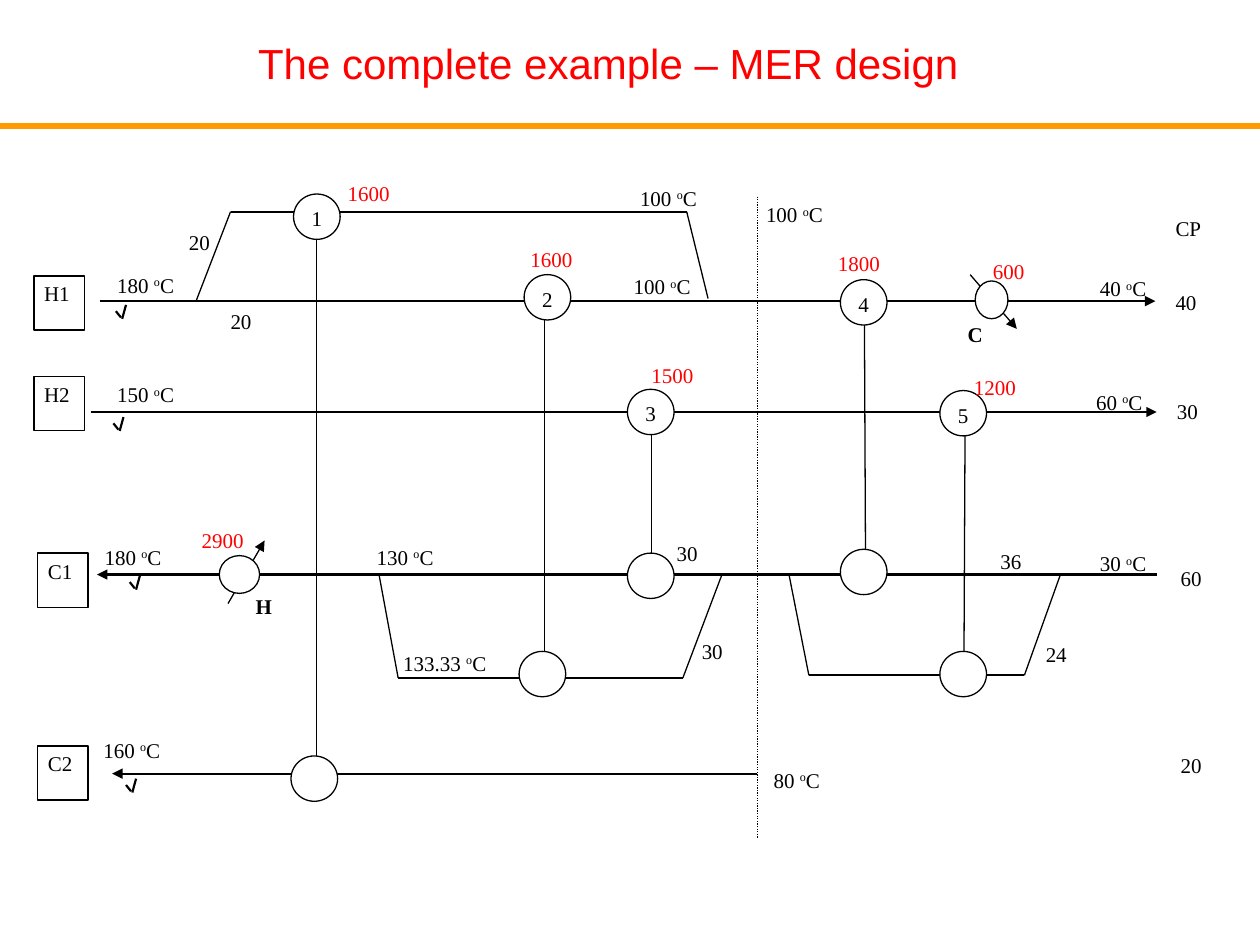
from dataclasses import dataclass
from lxml import etree
from pptx import Presentation
from pptx.dml.color import RGBColor as RGB
from pptx.enum.dml import MSO_LINE
from pptx.enum.shapes import MSO_CONNECTOR as CONN, MSO_SHAPE as SHAPE
from pptx.enum.text import MSO_ANCHOR, MSO_AUTO_SIZE, PP_ALIGN
from pptx.oxml.ns import qn
from pptx.util import Inches, Pt


@dataclass(frozen=True)
class Theme:
    ink = RGB(0x00, 0x00, 0x00)
    paper = RGB(0xFF, 0xFF, 0xFF)
    accent = RGB(0xFF, 0x00, 0x00)
    rule = RGB(0xFF, 0x99, 0x00)
    title_font, title_size = "Arial", Pt(24)
    body_font, body_size = "Times New Roman", Pt(12)
    thin, medium, stream, bar = Pt(0.75), Pt(1), Pt(1.25), Pt(3)


T = Theme()
UNIT = 0.37, 0.36  # size of a heat exchanger


@dataclass
class Region:
    """A part of the slide; all positions count from its corner."""
    shapes: object
    left: float
    top: float

    def line(self, x1, y1, x2, y2, width=T.thin, color=T.ink, arrow=False):
        s = self.shapes.add_connector(
            CONN.STRAIGHT, Inches(self.left + x1), Inches(self.top + y1),
            Inches(self.left + x2), Inches(self.top + y2))
        s.line.color.rgb, s.line.width = color, width
        if arrow:
            ln = s.line._get_or_add_ln()
            etree.SubElement(ln, qn("a:tailEnd"), type="triangle")
        etree.SubElement(s._element.spPr, qn("a:effectLst"))
        return s

    def box(self, x, y, w, h):
        return (Inches(self.left + x), Inches(self.top + y),
                Inches(w), Inches(h))

    def text(self, x, y, w, h, text, inset=True, **style):
        s = self.shapes.add_textbox(*self.box(x, y, w, h))
        write(s.text_frame, text, inset, **style)

    def shape(self, kind, x, y, w, h, text="", align=PP_ALIGN.LEFT):
        s = self.shapes.add_shape(kind, *self.box(x, y, w, h))
        s.shadow.inherit = False
        s.fill.solid()
        s.fill.fore_color.rgb = T.paper
        s.line.color.rgb, s.line.width = T.ink, T.thin
        if text:
            write(s.text_frame, text, align=align)


def write(tf, text, inset=True, color=T.ink, bold=False, align=PP_ALIGN.LEFT):
    """Fill a frame; '^o' in the text marks a raised letter."""
    tf.word_wrap = True
    tf.vertical_anchor = MSO_ANCHOR.TOP
    tf.margin_left = tf.margin_right = Inches(0.08 if inset else 0)
    tf.margin_top = tf.margin_bottom = Inches(0.01 if inset else 0)
    p = tf.paragraphs[0]
    p.alignment, p.line_spacing, p.space_after = align, 1.15, Pt(10)
    before, raised, after = text.partition("^o")
    for part in filter(None, (before, raised[1:], after)):
        r = p.add_run()
        r.text = part
        r.font.name, r.font.size = T.body_font, T.body_size
        r.font.bold, r.font.color.rgb = bold, color
        if part == "o":
            r.font._element.set("baseline", "30000")


def add_header(region, title):
    region.line(0, 1, 10, 1, T.bar, T.rule)
    s = region.shapes.add_textbox(*region.box(1.95, 0.25, 5.82, 0.5))
    tf = s.text_frame
    tf.word_wrap, tf.auto_size = False, MSO_AUTO_SIZE.SHAPE_TO_FIT_TEXT
    tf.text = title
    font = tf.paragraphs[0].runs[0].font
    font.name, font.size, font.color.rgb = T.title_font, T.title_size, T.accent


def add_streams(region):
    # name, name box, line from x to x at y, tick, heat capacity and its place
    streams = [
        ("H1", 0.27, 1.19, 0.79, 9.17, 1.39, 0.92, 1.47, "40", 9.33, 1.27),
        ("H2", 0.27, 1.99, 0.72, 9.18, 2.27, 0.90, 2.36, "30", 9.34, 2.13),
        ("C1", 0.30, 3.39, 9.18, 0.77, 3.56, 1.03, 3.62, "60", 9.37, 3.46),
        ("C2", 0.30, 4.92, 6.01, 0.89, 5.14, 1.00, 5.23, "20", 9.37, 4.94),
    ]
    region.text(9.33, 0.68, 0.3, 0.35, "CP", inset=False)
    for name, bx, by, x1, x2, y, tx, ty, cp, cx, cy in streams:
        region.line(x1, y, x2, y, T.stream, arrow=True)
        region.shape(SHAPE.RECTANGLE, bx, by, 0.4, 0.43, name)
        region.line(tx, ty, tx + 0.04, ty + 0.05, T.stream)
        region.line(tx + 0.05, ty + 0.06, tx + 0.08, ty - 0.05, T.stream)
        region.text(cx, cy, 0.3, 0.35, cp, inset=False)
    pinch = region.line(6.01, 0.56, 6.01, 5.65)
    pinch.line.dash_style = MSO_LINE.ROUND_DOT


def add_splits(region):
    # outer start, branch start, branch end, outer end, branch line width
    splits = [
        ((1.56, 1.38), (1.83, 0.68), (5.45, 0.68), (5.62, 1.37), T.medium),
        ((3.01, 3.57), (3.16, 4.38), (5.42, 4.38), (5.73, 3.56), T.medium),
        ((6.26, 3.55), (6.42, 4.36), (8.13, 4.36), (8.42, 3.55), T.medium),
    ]
    for start, left, right, end, width in splits:
        region.line(*start, *left)
        region.line(*left, *right, width)
        region.line(*right, *end)
    for x, y, flow in [(1.5, 0.79, "20"), (1.83, 1.42, "20"),
                       (5.37, 3.26, "30"), (5.57, 4.04, "30"),
                       (7.94, 3.32, "36"), (8.3, 4.06, "24")]:
        region.text(x, y, 0.3, 0.3, flow, inset=False)


def add_exchangers(region):
    # number, hot unit, cold unit, link x at both ends, load and its place
    matches = [
        ("1", (2.33, 0.54), (2.31, 5.00), 2.51, 2.51, "1600", 2.68, 0.39),
        ("2", (4.16, 1.18), (4.12, 4.17), 4.32, 4.32, "1600", 4.13, 0.92),
        ("3", (4.98, 2.09), (4.98, 3.39), 5.17, 5.17, "1500", 5.09, 1.84),
        ("4", (6.67, 1.22), (6.67, 3.36), 6.86, 6.87, "1800", 6.57, 0.95),
        ("5", (7.46, 2.10), (7.46, 4.17), 7.66, 7.65, "1200", 7.65, 1.93),
    ]
    for number, hot, cold, x1, x2, load, lx, ly in matches:
        region.line(x1, hot[1] + UNIT[1] / 2, x2, cold[1] + UNIT[1] / 2)
        region.shape(SHAPE.OVAL, *hot, *UNIT, number, PP_ALIGN.CENTER)
        region.shape(SHAPE.OVAL, *cold, *UNIT)
        region.text(lx, ly, 0.75, 0.32, load, color=T.accent)


def add_utilities(region):
    # letter and its place, arrow, unit, load and its place
    utilities = [
        ("H", 1.95, 3.67, (1.81, 3.79, 2.1, 3.29),
         (1.74, 3.41, 0.32, 0.3), "2900", 1.52, 3.15),
        ("C", 7.6, 1.51, (7.7, 1.18, 8.07, 1.61),
         (7.74, 1.23, 0.26, 0.3), "600", 7.8, 1.01),
    ]
    for letter, x, y, arrow, unit, load, lx, ly in utilities:
        region.line(*arrow, arrow=True)
        region.shape(SHAPE.OVAL, *unit)
        region.text(x, y, 0.3, 0.34, letter, bold=True)
        region.text(lx, ly, 0.75, 0.32, load, color=T.accent)


def add_temperatures(region):
    for x, y, w, degrees in [
            (0.85, 1.12, 0.71, "180"), (0.85, 1.99, 0.79, "150"),
            (0.75, 3.28, 0.72, "180"), (0.74, 4.81, 0.68, "160"),
            (8.65, 1.15, 0.62, "40"), (8.62, 2.05, 0.57, "60"),
            (8.65, 3.33, 0.72, "30"), (6.06, 5.05, 0.58, "80"),
            (6, 0.56, 0.67, "100"), (5, 0.43, 0.67, "100"),
            (4.95, 1.13, 0.67, "100"), (2.91, 3.28, 0.99, "130"),
            (3.12, 4.12, 0.99, "133.33")]:
        region.text(x, y, w, 0.39, degrees + " ^oC")


prs = Presentation()
prs.slide_width, prs.slide_height = Inches(10), Inches(7.5)
slide = prs.slides.add_slide(prs.slide_layouts[6])

add_header(Region(slide.shapes, 0, 0), "The complete example – MER design")
network = Region(slide.shapes, 0, 1)
for add_part in (add_streams, add_splits, add_exchangers, add_utilities,
                 add_temperatures):
    add_part(network)

prs.save("out.pptx")
